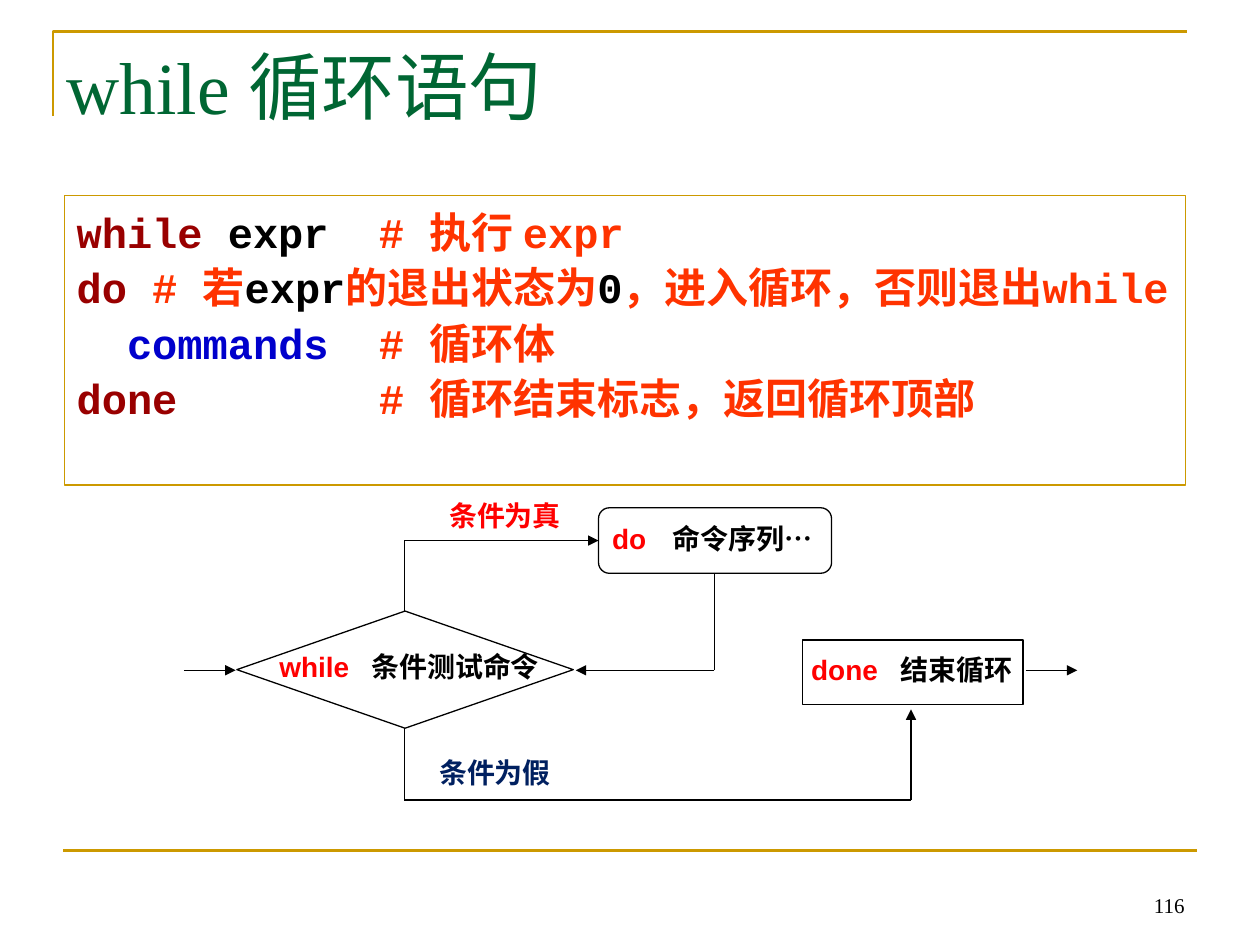
from pptx import Presentation
from pptx import util as u
from pptx.dml.color import RGBColor
from pptx.enum import shapes, text
from pptx.oxml import ns, xmlchemy

# The slide is a grid of square cells, 100 columns by 75 rows
COLUMNS, ROWS = 100, 75
CELL = u.Inches(0.1)
GOLD, BLACK, WHITE, RED, NAVY = "CC9900", "000000", "FFFFFF", "FF0000", "002060"
GREEN, KEYWORD, COMMENT, COMMAND = "006633", "990000", "FF3300", "0000CC"
LEFT, RIGHT = text.PP_ALIGN.LEFT, text.PP_ALIGN.RIGHT


def cells(*values):
    return [round(value * CELL) for value in values]


def color(hex_code):
    return RGBColor.from_string(hex_code)


def set_all(target, values):
    for name, value in values.items():
        setattr(target, name, value)


def child(parent, tag, **attributes):
    element = xmlchemy.OxmlElement(tag)
    for name, value in attributes.items():
        element.set(name, str(value))
    parent.append(element)
    return element


def outline(shape, fill, line, width):
    shape.shadow.inherit = False
    if fill:
        shape.fill.solid()
        shape.fill.fore_color.rgb = color(fill)
    else:
        shape.fill.background()
    shape.line.color.rgb = color(line)
    shape.line.width = u.Pt(width)


def wire(slide, start, end, line=BLACK, width=0.75, arrow=False):
    link = slide.shapes.add_connector(
        shapes.MSO_CONNECTOR.STRAIGHT, *cells(*start, *end))
    link.line.color.rgb = color(line)
    link.line.width = u.Pt(width)
    if arrow:
        child(link.line._get_or_add_ln(), "a:tailEnd", type="triangle")
    child(link._element.spPr, "a:effectLst")


def write(frame, lines, font, align=LEFT, spacing=None, tab=None,
          anchor=text.MSO_ANCHOR.TOP):
    """Each line is a list of (wording, colour) runs."""
    set_all(frame, dict(
        word_wrap=True, vertical_anchor=anchor,
        margin_left=CELL, margin_right=CELL,
        margin_top=CELL // 2, margin_bottom=CELL // 2))
    for number, line in enumerate(lines):
        paragraph = frame.paragraphs[0] if number == 0 else frame.add_paragraph()
        set_all(paragraph, dict(alignment=align, line_spacing=spacing))
        if tab:
            stops = child(paragraph._p.get_or_add_pPr(), "a:tabLst")
            child(stops, "a:tab", pos=cells(tab)[0], algn="l")
        for wording, ink in line:
            run = paragraph.add_run()
            run.text = wording
            set_all(run.font, font)
            run.font.color.rgb = color(ink)


def text_box(slide, box, lines, font, **layout):
    write(slide.shapes.add_textbox(*cells(*box)).text_frame, lines, font, **layout)


def frame_rules(slide, box):
    """Gold corner above the title and gold rule above the footer."""
    left, top, width, height = box
    corner = slide.shapes.build_freeform(*cells(left, top + 6.7), scale=1.0)
    corner.add_line_segments(
        [cells(left, top), cells(left + width, top)], close=False)
    outline(corner.convert_to_shape(), None, GOLD, 1.5)
    foot = top + height
    wire(slide, (left + 0.8, foot), (left + 0.8 + width, foot), GOLD, 1.5)


def heading(slide, box):
    font = dict(name="Times New Roman", size=u.Pt(42))
    text_box(slide, box, [[("while 循环语句", GREEN)]], font)


def page_number(slide, box):
    font = dict(name="Times New Roman", size=u.Pt(12))
    text_box(slide, box, [[("116", BLACK)]], font, align=RIGHT,
             anchor=text.MSO_ANCHOR.BOTTOM)


def code_panel(slide, box):
    """Syntax of the loop, with comments lined up on one tab stop."""
    panel = slide.shapes.add_shape(shapes.MSO_SHAPE.RECTANGLE, *cells(*box))
    outline(panel, None, GOLD, 0.75)
    code = [
        [("while ", KEYWORD), ("expr", BLACK), ("\t# 执行 expr", COMMENT)],
        [("do ", KEYWORD), ("# 若", COMMENT), ("expr", BLACK),
         ("的退出状态为", COMMENT), ("0", BLACK),
         ("，进入循环，否则退出while", COMMENT)],
        [("  commands", COMMAND), ("\t# 循环体", COMMENT)],
        [("done", KEYWORD), ("\t# 循环结束标志，返回循环顶部", COMMENT)],
    ]
    font = dict(name="Courier New", size=u.Pt(24), bold=True)
    write(panel.text_frame, code, font, spacing=1.1, tab=24)


def flow_chart(slide, box):
    """Test, loop body and exit on three equally spaced levels."""
    left, top, width, height = box

    def at(x, y):
        return left + x, top + y

    gap = 10.3
    low = height
    middle, high = low - gap, low - 2 * gap
    spine, back, leave = 17.5, 42.1, 57.7

    # Wire behind the test
    wire(slide, at(spine, high), at(spine, low))

    # Steps
    for kind, x, y, wide, tall in [
        (shapes.MSO_SHAPE.FLOWCHART_ALTERNATE_PROCESS, 32.9, 1.2, 18.5, 5.2),
        (shapes.MSO_SHAPE.FLOWCHART_DECISION, 4.2, 9.4, 26.7, 9.3),
        (shapes.MSO_SHAPE.FLOWCHART_PROCESS, 49.1, 11.7, 17.5, 5.1),
    ]:
        step = slide.shapes.add_shape(kind, *cells(*at(x, y), wide, tall))
        outline(step, WHITE, BLACK, 0.75)

    # Plain wires, then arrows
    wire(slide, at(back, 6.4), at(back, middle))
    wire(slide, at(spine, low), at(leave, low))
    for start, end in [
        ((0, middle), (4.1, middle)),
        ((spine, high), (32.9, high)),
        ((back, middle), (31.1, middle)),
        ((leave, low), (leave, 17.2)),
        ((width - 4.1, middle), (width, middle)),
    ]:
        wire(slide, at(*start), at(*end), arrow=True)

    # Wording of steps and branches
    font = dict(name="Arial", size=u.Pt(16), bold=True)
    for x, y, wide, keyword, action, tab in [
        (33, 1.8, 18.4, "do", "命令序列…", 4.8),
        (6.6, 12, 24.3, "while", "条件测试命令", 7.3),
        (48.8, 12.2, 19, "done", "结束循环", 7.1),
    ]:
        text_box(slide, (*at(x, y), wide, 3.7),
                 [[(keyword, RED), ("\t" + action, BLACK)]], font, tab=tab)
    for x, y, wide, branch, ink in [
        (17.5, 0, 13.4, "条件为真", RED),
        (18.8, 20.4, 11.3, "条件为假", NAVY),
    ]:
        text_box(slide, (*at(x, y), wide, 3.7), [[(branch, ink)]], font, align=RIGHT)


def main():
    deck = Presentation()
    deck.slide_width, deck.slide_height = cells(COLUMNS, ROWS)
    slide = deck.slides.add_slide(deck.slide_layouts[6])
    frame_rules(slide, (4.2, 2.5, 90, 65))
    heading(slide, (4.3, 2.8, 90, 12.5))
    page_number(slide, (71.7, 68.3, 23.3, 5))
    code_panel(slide, (5.1, 15.5, 89, 23))
    flow_chart(slide, (14.6, 39.1, 70.9, 24.4))
    deck.save("out.pptx")


if __name__ == "__main__":
    main()
